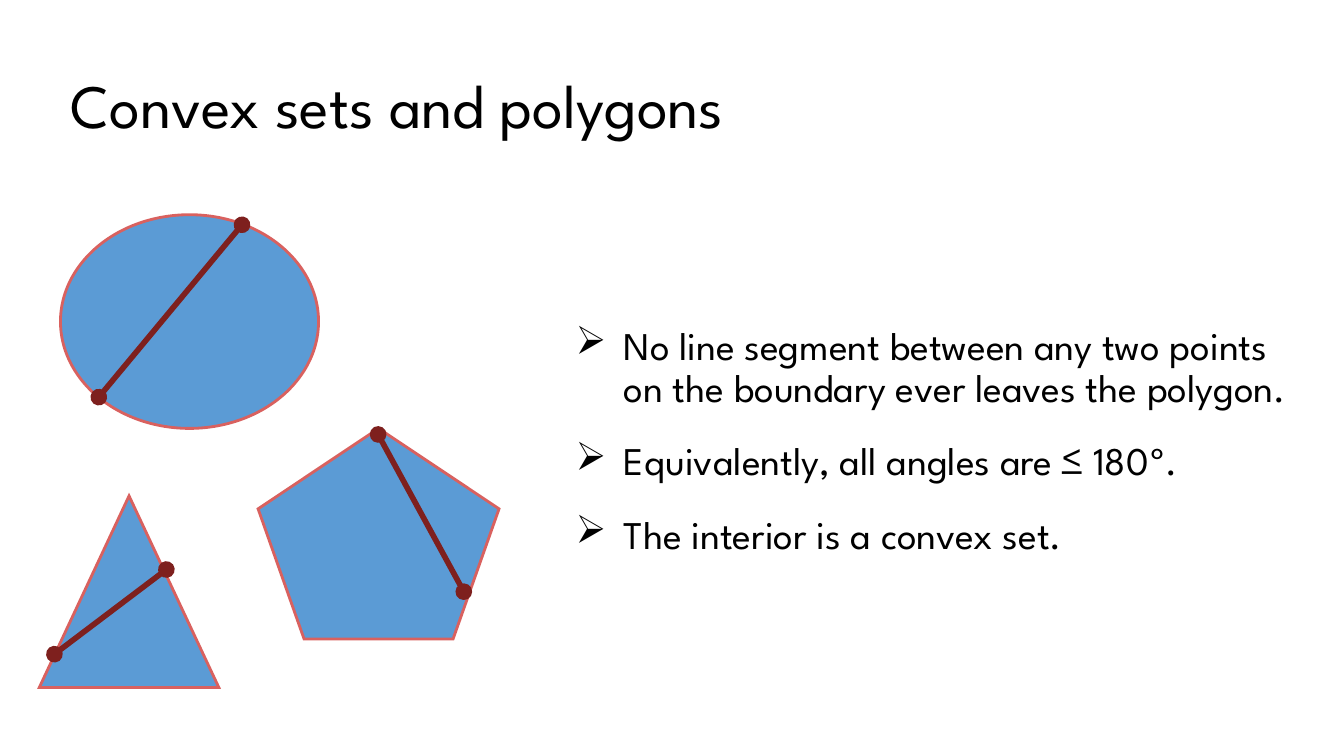
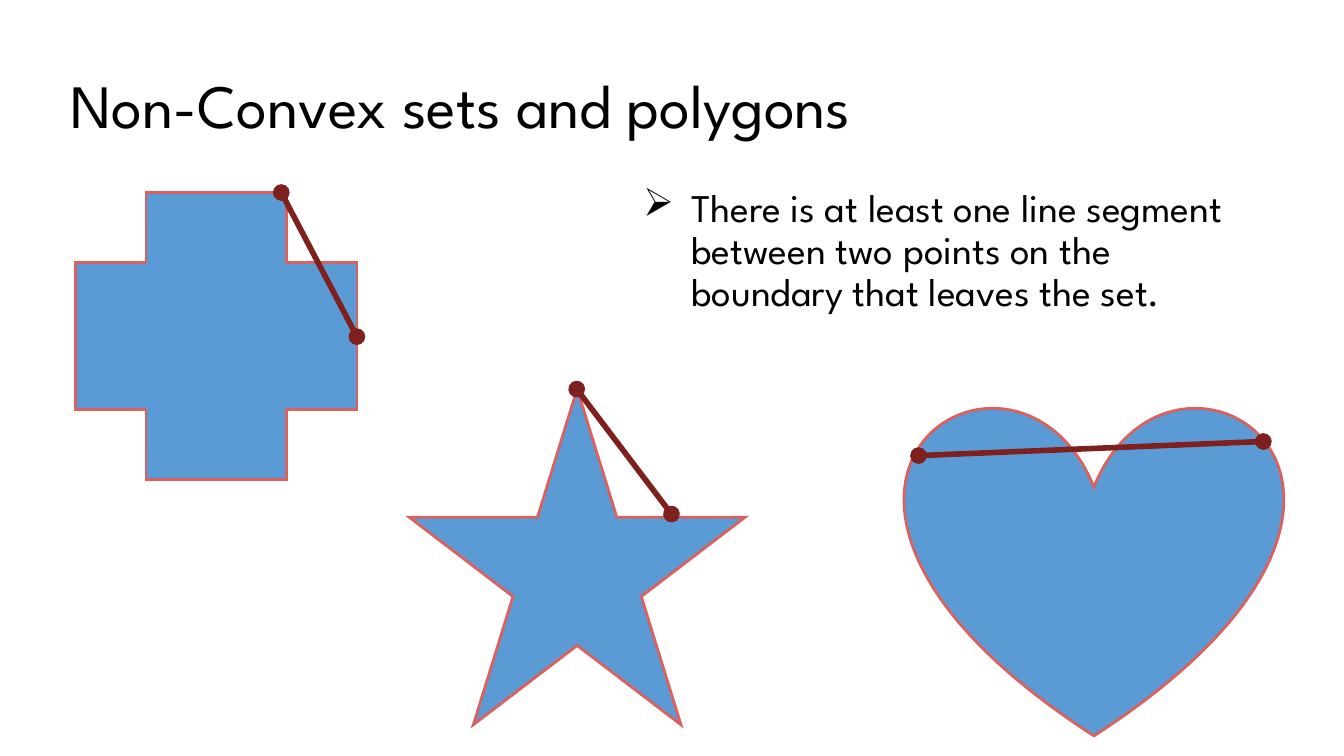
from lxml.etree import SubElement
from pptx import Presentation
from pptx.dml.color import RGBColor
from pptx.enum.shapes import MSO_CONNECTOR, MSO_SHAPE
from pptx.enum.text import MSO_ANCHOR, PP_ALIGN
from pptx.oxml.ns import qn
from pptx.util import Emu, Pt

PX = 9144  # EMU in one px: a hundredth of an inch
SLIDE_SIZE = (1333, 750)
TITLE_BOX = (60, 35, 1181, 145)
BULLET_INDENT = 50
BULLET_HANG = 48
FONT = "League Spartan"
BLACK = RGBColor(0x00, 0x00, 0x00)
BLUE = RGBColor(0x5B, 0x9B, 0xD5)
CORAL = RGBColor(0xD9, 0x61, 0x5F)
MAROON = RGBColor(0x7E, 0x20, 0x1E)


def to_emu(*lengths):
    return [Emu(length * PX) for length in lengths]


class Deck:
    """Holds the shared style and the current slide."""

    def __init__(self):
        self.presentation = Presentation()
        width, height = to_emu(*SLIDE_SIZE)
        self.presentation.slide_width = width
        self.presentation.slide_height = height
        self.slide = None

    def add_text(self, paragraph, text, size):
        paragraph.alignment = PP_ALIGN.LEFT
        paragraph.line_spacing = 0.9
        run = paragraph.add_run()
        run.text = text
        run.font.name = FONT
        run.font.size = Pt(size)
        run.font.color.rgb = BLACK

    def add_slide(self, title):
        layout = self.presentation.slide_layouts[5]
        self.slide = self.presentation.slides.add_slide(layout)
        shape = self.slide.shapes.title
        shape.left, shape.top, shape.width, shape.height = to_emu(*TITLE_BOX)
        frame = shape.text_frame
        frame.vertical_anchor = MSO_ANCHOR.MIDDLE
        self.add_text(frame.paragraphs[0], title, 44)

    def add_bullets(self, box, texts):
        frame = self.slide.shapes.add_textbox(*to_emu(*box)).text_frame
        frame.word_wrap = True
        for index, text in enumerate(texts):
            paragraph = frame.add_paragraph() if index else frame.paragraphs[0]
            properties = paragraph._p.get_or_add_pPr()
            properties.set("marL", str(BULLET_INDENT * PX))
            properties.set("indent", str(-BULLET_HANG * PX))
            SubElement(properties, qn("a:buChar"), char="➢")
            if index:
                paragraph.space_before = Pt(22)
            self.add_text(paragraph, text, 28)

    def add_figure(self, preset, box):
        shape = self.slide.shapes.add_shape(preset, *to_emu(*box))
        shape.shadow.inherit = False
        shape.fill.solid()
        shape.fill.fore_color.rgb = BLUE
        shape.line.color.rgb = CORAL
        shape.line.width = Pt(2)
        # Sharp corners
        SubElement(shape.line._get_or_add_ln(), qn("a:miter"), lim="800000")

    def add_segment(self, start, end):
        segment = self.slide.shapes.add_connector(
            MSO_CONNECTOR.STRAIGHT, *to_emu(*start, *end))
        segment.line.color.rgb = MAROON
        segment.line.width = Pt(4)
        # Round dots at both ends
        outline = segment.line._get_or_add_ln()
        for tag in ("a:headEnd", "a:tailEnd"):
            SubElement(outline, qn(tag), type="oval")
        SubElement(segment._element.spPr, qn("a:effectLst"))


def main():
    deck = Deck()

    # Convex figures: every segment stays inside
    deck.add_slide("Convex sets and polygons")
    deck.add_bullets((559, 319, 747, 294), [
        "No line segment between any two points on the boundary "
        "ever leaves the polygon.",
        "Equivalently, all angles are ≤ 180º.",
        "The interior is a convex set.",
    ])
    for preset, box, start, end in (
        (MSO_SHAPE.OVAL, (60, 213, 256, 212), (240, 223), (98, 394)),
        (MSO_SHAPE.ISOSCELES_TRIANGLE, (39, 492, 178, 190),
         (165, 565), (54, 649)),
        (MSO_SHAPE.REGULAR_PENTAGON, (256, 425, 239, 209),
         (375, 431), (460, 587)),
    ):
        deck.add_figure(preset, box)
        deck.add_segment(start, end)

    # Non-convex figures: one segment leaves each
    deck.add_slide("Non-Convex sets and polygons")
    deck.add_bullets((626, 182, 627, 294), [
        "There is at least one line segment between two points "
        "on the boundary that leaves the set.",
    ])
    for preset, box, start, end in (
        (MSO_SHAPE.HEART, (898, 401, 374, 329), (911, 452), (1253, 438)),
        (MSO_SHAPE.CROSS, (75, 191, 279, 285), (279, 191), (354, 334)),
        (MSO_SHAPE.STAR_5_POINT, (406, 386, 333, 333),
         (572, 386), (666, 510)),
    ):
        deck.add_figure(preset, box)
        deck.add_segment(start, end)

    deck.presentation.save("out.pptx")


if __name__ == "__main__":
    main()
